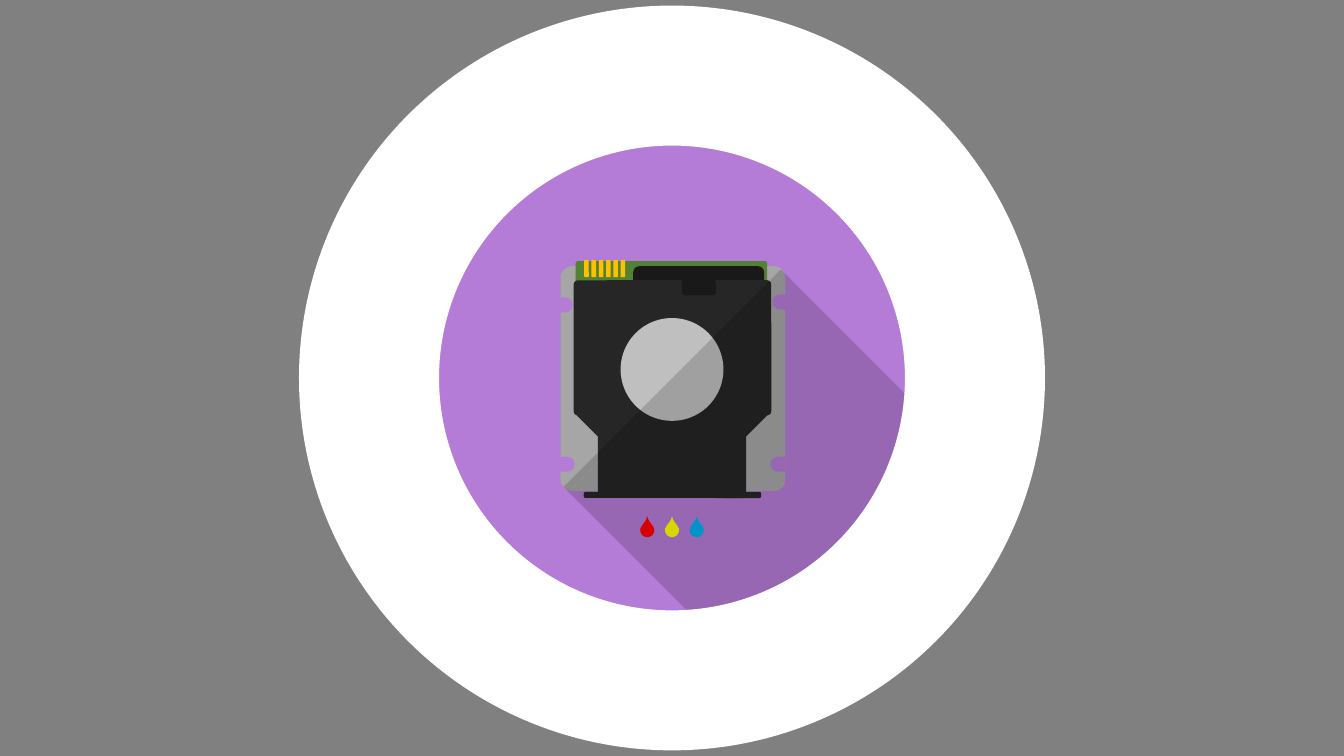
from pptx import Presentation
from pptx import util as u
from pptx.dml.color import RGBColor
from pptx.enum import shapes
from pptx.oxml.ns import qn
from lxml import etree

COLS, ROWS = 1333, 750
KIND = shapes.MSO_SHAPE
PURPLE, BODY, CHIP = "B47BD7", "262626", "191919"


def rgb(value):
    return RGBColor.from_string(value)


class Canvas:
    def __init__(self, prs, background):
        self.cell_w = prs.slide_width / COLS
        self.cell_h = prs.slide_height / ROWS
        self.slide = prs.slides.add_slide(prs.slide_layouts[6])
        self.slide.background.fill.solid()
        self.slide.background.fill.fore_color.rgb = rgb(background)

    def shape(self, kind, col, row, cols, rows, fill=None, turn=0, adj=None, group=None):
        parent = group or self.slide
        sp = parent.shapes.add_shape(
            kind, round(col * self.cell_w), round(row * self.cell_h),
            round(cols * self.cell_w), round(rows * self.cell_h))
        sp.shadow.inherit = False
        sp.rotation = turn
        if adj is not None:
            sp.adjustments[0] = adj
        if fill:
            sp.fill.solid()
            sp.fill.fore_color.rgb = rgb(fill)
        else:
            sp.fill.background()
        sp.line.fill.background()
        return sp

    def ellipse(self, col, row, cols, rows, fill):
        return self.shape(KIND.OVAL, col, row, cols, rows, fill)

    def plate(self, col, row, cols, rows, fill, adj):
        return self.shape(KIND.ROUNDED_RECTANGLE, col, row, cols, rows, fill, 270, adj)

    def corner(self, col, row, size, fill, turn):
        return self.shape(KIND.RIGHT_TRIANGLE, col, row, size, size, fill, turn)

    def notch(self, col, row, size, fill, turn):
        return self.shape(KIND.FLOWCHART_DELAY, col, row, size, size, fill, turn)

    def contacts(self, col, row, cols, rows, step, count, fill):
        group = self.slide.shapes.add_group_shape()
        for i in range(count):
            self.shape(KIND.ROUNDED_RECTANGLE, col + i * step, row, cols, rows, fill, group=group)

    def drops(self, col, row, size, step, fills):
        group = self.slide.shapes.add_group_shape()
        for i, fill in enumerate(fills):
            self.shape(KIND.TEAR, col + i * step, row, size, size, fill, 315, 1.387, group)

    def shade(self, col, row, cols, rows, percent):
        sp = self.shape(KIND.RECTANGLE, col, row, cols, rows, "000000", 45)
        color = sp.fill._xPr.find(qn("a:solidFill"))[0]
        etree.SubElement(color, qn("a:alpha")).set("val", str(percent * 1000))

    def ring(self, col, row, cols, rows, color, width):
        sp = self.ellipse(col, row, cols, rows, None)
        sp.line.color.rgb = rgb(color)
        sp.line.width = u.Pt(width)


def main():
    prs = Presentation()
    prs.slide_width = u.Inches(13.33)
    prs.slide_height = u.Inches(7.5)
    c = Canvas(prs, "808080")

    c.ellipse(430, 139, 473, 473, PURPLE)
    c.plate(556, 264, 223, 223, "A6A6A6", 0.051)
    c.plate(640, 190, 52, 190, "548235", 0.049)
    c.plate(678, 214, 30, 130, CHIP, 0.207)
    c.plate(600, 247, 134, 196, BODY, 0.03)
    c.plate(685, 268, 16, 34, CHIP, 0.207)
    c.contacts(579.5, 258, 4.5, 17, 7.2, 6, "FFC000")
    c.corner(570, 410, 27, BODY, 180)
    c.corner(736, 410, 27, BODY, 90)
    c.plate(664, 403, 6, 176, BODY, 0.315)
    c.plate(611, 365, 111, 147, BODY, 0.03)
    c.ellipse(615.5, 315.5, 102, 102, "BFBFBF")
    for col, row, turn in ((553, 295, 0), (766, 292, 180), (555, 453, 0), (764, 453, 180)):
        c.notch(col, row, 15, PURPLE, turn)
    c.drops(635, 519, 14, 24.5, ("FF0000", "FFFF00", "00B0F0"))
    c.shade(628, 316, 264, 305, 16)
    c.ring(366, 75, 601, 600, "FFFFFF", 100)

    prs.save("out.pptx")


if __name__ == "__main__":
    main()
